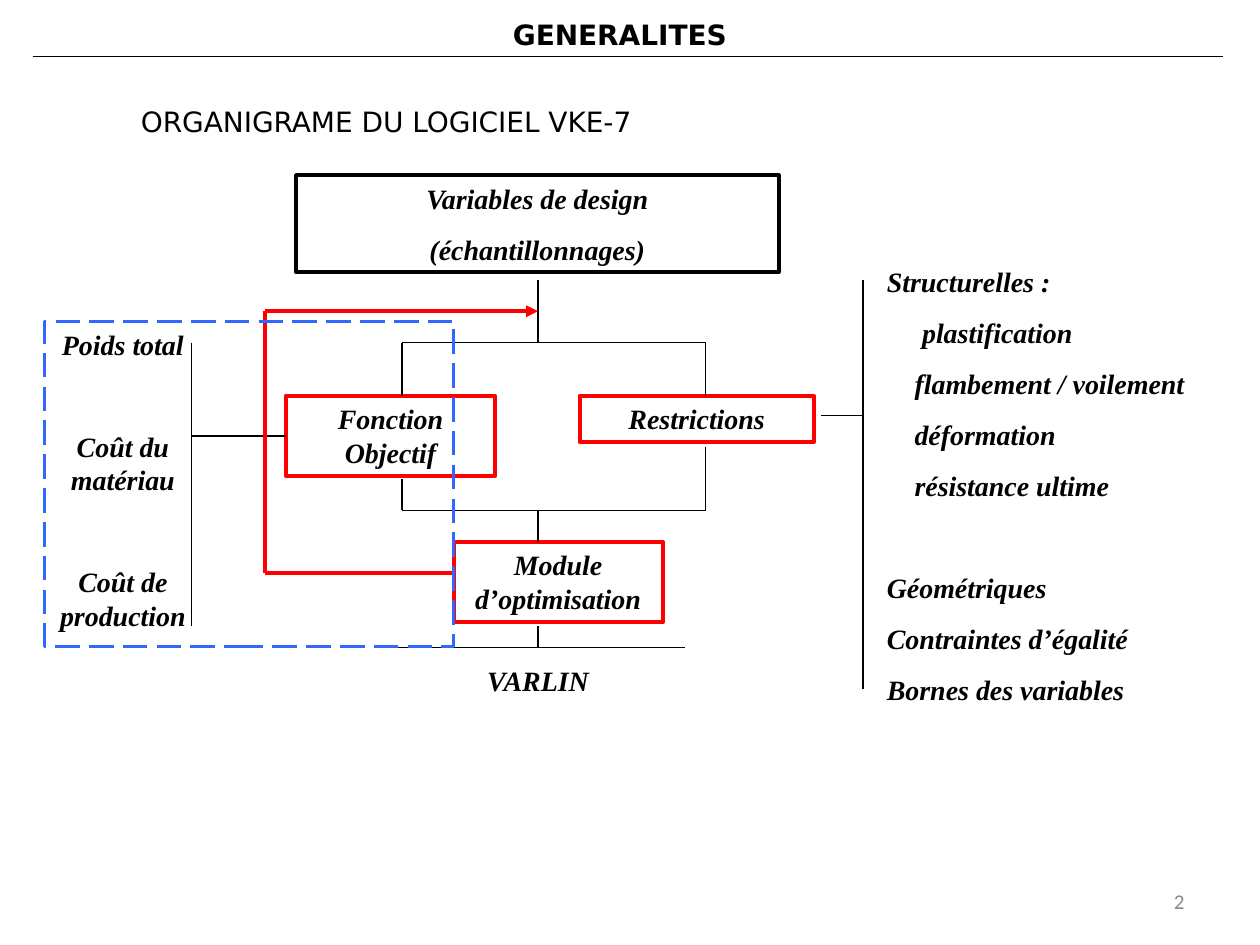
import pptx
import pptx.dml.color
import pptx.enum.dml
import pptx.enum.shapes
import pptx.enum.text
import pptx.oxml
import pptx.oxml.ns
import pptx.util

Inches, Pt = pptx.util.Inches, pptx.util.Pt
ALIGN = pptx.enum.text.PP_ALIGN
SHAPE = pptx.enum.shapes.MSO_SHAPE.RECTANGLE
STRAIGHT = pptx.enum.shapes.MSO_CONNECTOR.STRAIGHT

COLORS = {"ink": "000000", "red": "FF0000", "blue": "3366FF", "grey": "898989"}
SANS = {"font": "DejaVu Sans", "before": 5}
SERIF = {"font": "Times New Roman", "bold": True, "italic": True, "before": 10}
GAP = 39  # points before a new group of lines

# place (left, top, width, height), lines (text, changes), style
TEXTS = [
    ((0.1, 0.09, 9.64, 0.37), [("GENERALITES", {})],
     {**SANS, "bold": True, "align": ALIGN.CENTER}),
    ((1.02, 0.78, 7.97, 0.37), [("ORGANIGRAME DU LOGICIEL VKE-7", {})], SANS),
    ((7.17, 6.95, 2.33, 0.4), [("2", {})],
     {"font": "Calibri", "size": 12, "color": "grey", "align": ALIGN.RIGHT,
      "middle": True}),
    ((0.35, 2.55, 1.25, 2.52),
     [("Poids total", {}),
      ("Coût du matériau", {"before": GAP}),
      ("Coût de production", {"before": GAP})],
     {**SERIF, "align": ALIGN.CENTER}),
    ((6.94, 2.05, 2.67, 4.42),
     [("Structurelles :", {}),
      ("plastification", {"indent": 0.28}),
      ("flambement / voilement", {"indent": 0.22}),
      ("déformation", {"indent": 0.22}),
      ("résistance ultime", {"indent": 0.22}),
      ("Géométriques", {"before": GAP}),
      ("Contraintes d’égalité", {}),
      ("Bornes des variables", {})], SERIF),
    ((3.02, 5.22, 2.5, 0.37), [("VARLIN", {})],
     {**SERIF, "align": ALIGN.CENTER}),
]

# name: place, lines, border colour
BOXES = {
    "design": ((2.35, 1.39, 3.83, 0.77),
               ["Variables de design", "(échantillonnages)"], "ink"),
    "goal": ((2.27, 3.14, 1.66, 0.64), ["Fonction Objectif"], "red"),
    "limits": ((4.6, 3.14, 1.86, 0.37), ["Restrictions"], "red"),
    "solver": ((3.6, 4.3, 1.66, 0.64), ["Module d’optimisation"], "red"),
}
ZONE = (0.35, 2.55, 3.25, 2.58)

# Axes shared by the lines of the flow chart
MID, LEFT, RIGHT = 4.27, 3.19, 5.6
SPLIT, JOIN, BASE = 2.72, 4.05, 5.14
COSTS, RULES, LOOP = 1.52, 6.85, 2.1
BACK, RETURN = 2.47, 4.55

LINES = [
    (0.26, 0.45, 9.71, 0.45),
    (MID, 2.22, MID, SPLIT),
    (LEFT, SPLIT, RIGHT, SPLIT),
    (LEFT, SPLIT, LEFT, 3.14),
    (RIGHT, SPLIT, RIGHT, 3.14),
    (LEFT, JOIN, RIGHT, JOIN),
    (LEFT, 3.8, LEFT, JOIN),
    (RIGHT, 3.55, RIGHT, JOIN),
    (MID, JOIN, MID, 4.3),
    (COSTS, SPLIT, COSTS, 4.97),
    (6.52, 3.3, RULES, 3.3),
    (RULES, 2.22, RULES, 5.47),
    (MID, 4.97, MID, BASE),
    (3.1, BASE, 5.44, BASE),
]
LOOPS = [(3.6, RETURN, LOOP, RETURN), (LOOP, RETURN, LOOP, BACK),
         (LOOP, BACK, MID, BACK)]


def rgb(name):
    return pptx.dml.color.RGBColor.from_string(COLORS[name])


def child(parent, tag, **attrs):
    node = pptx.oxml.parse_xml(f"<a:{tag} {pptx.oxml.ns.nsdecls('a')}/>")
    for key, value in attrs.items():
        node.set(key, value)
    parent.append(node)


def write(shape, lines, style):
    frame = shape.text_frame
    frame.word_wrap = True
    anchor = pptx.enum.text.MSO_ANCHOR
    frame.vertical_anchor = anchor.MIDDLE if style.get("middle") else anchor.TOP
    for i, (text, change) in enumerate(lines):
        look = {**style, **change}
        para = frame.add_paragraph() if i else frame.paragraphs[0]
        para.alignment = look.get("align", ALIGN.LEFT)
        para.space_before = Pt(look.get("before", 0))
        if "indent" in look:
            props = para._p.get_or_add_pPr()
            props.set("marL", str(Inches(look["indent"])))
            props.set("indent", "0")
        run = para.add_run()
        run.text = text
        run.font.name = look["font"]
        run.font.size = Pt(look.get("size", 16))
        run.font.bold = look.get("bold", False)
        run.font.italic = look.get("italic", False)
        run.font.color.rgb = rgb(look.get("color", "ink"))


def frame_box(slide, place, color, width):
    """Add an unfilled rectangle with a coloured border."""
    box = slide.shapes.add_shape(SHAPE, *map(Inches, place))
    box.shadow.inherit = False
    box.fill.background()
    box.line.color.rgb = rgb(color)
    box.line.width = Pt(width)
    return box


def draw(slide, ends, color="ink", width=0.75):
    line = slide.shapes.add_connector(STRAIGHT, *map(Inches, ends))
    line.line.color.rgb = rgb(color)
    line.line.width = Pt(width)
    child(line._element.spPr, "effectLst")
    return line


def main():
    deck = pptx.Presentation()
    deck.slide_width, deck.slide_height = Inches(10), Inches(7.5)
    slide = deck.slides.add_slide(deck.slide_layouts[6])

    boxes = {}
    for name, (place, lines, color) in BOXES.items():
        boxes[name] = frame_box(slide, place, color, 2.25)
        write(boxes[name], [(text, {}) for text in lines],
              {**SERIF, "align": ALIGN.CENTER})

    for ends in LINES:
        draw(slide, ends)
    link = draw(slide, (COSTS, 3.46, 2.27, 3.46))
    link.end_connect(boxes["goal"], 1)

    for ends in LOOPS:
        arrow = draw(slide, ends, "red", 2.25)
    child(arrow.line._get_or_add_ln(), "tailEnd", type="triangle")

    for place, lines, style in TEXTS:
        write(slide.shapes.add_textbox(*map(Inches, place)), lines, style)

    zone = frame_box(slide, ZONE, "blue", 1.75)
    zone.line.dash_style = pptx.enum.dml.MSO_LINE.LONG_DASH
    deck.save("out.pptx")


if __name__ == "__main__":
    main()
